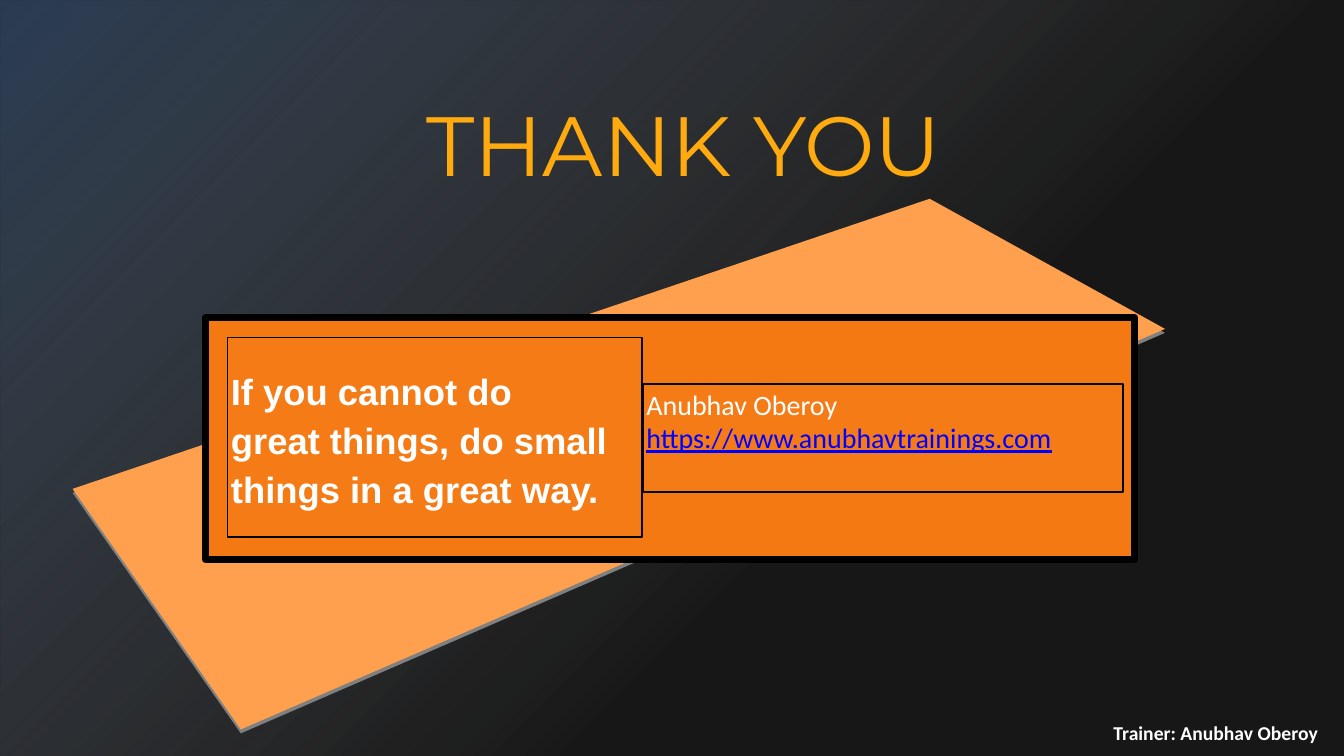
from dataclasses import dataclass

from lxml.etree import SubElement
from pptx import Presentation
from pptx.dml.color import RGBColor
from pptx.enum.shapes import MSO_SHAPE
from pptx.enum.text import MSO_ANCHOR, MSO_AUTO_SIZE, PP_ALIGN
from pptx.oxml.ns import qn
from pptx.shapes.autoshape import Shape
from pptx.shapes.shapetree import SlideShapes
from pptx.text.text import TextFrame
from pptx.util import Cm, Pt


@dataclass(frozen=True)
class Theme:
    paper: str = "F0F0F0"
    black: str = "000000"
    white: str = "FFFFFF"
    glow: str = "558ED5"
    gold: str = "FFAA0F"
    sheet: str = "FFA04F"
    sheet_edge: str = "808080"
    panel: str = "F57913"
    card: str = "F57B17"
    link: str = "0000FF"
    title_size: int = 60
    quote_size: int = 26
    contact_size: int = 20
    footer_size: int = 14


@dataclass(frozen=True)
class Box:
    left: float
    top: float
    width: float
    height: float

    def lengths(self) -> tuple[Cm, Cm, Cm, Cm]:
        return Cm(self.left), Cm(self.top), Cm(self.width), Cm(self.height)


@dataclass(frozen=True)
class Panel:
    box: Box
    fill: str
    line_width: float


@dataclass(frozen=True)
class TextStyle:
    font: str
    size: int
    color: str
    bold: bool = False
    align: PP_ALIGN = PP_ALIGN.LEFT
    line_points: int | None = None


THEME = Theme()
SLIDE = Box(0, 0, 33.87, 19.05)
TITLE = Box(8.76, 2.18, 16.94, 2.82)
FOOTER = Box(27.53, 17.98, 6.22, 0.99)
BANNER = Panel(Box(5.18, 8, 23.42, 6.1), THEME.panel, 5)
CONTACT = Panel(Box(16.21, 9.68, 12.09, 2.72), THEME.card, 1)
QUOTE = Panel(Box(5.74, 8.5, 10.44, 5.03), THEME.card, 1)
SHEET_CORNERS = [(23.43, 5.01), (29.36, 8.29), (6.07, 18.38), (1.83, 12.32)]
SHEET_DEPTH = 0.1


def color(value: str) -> RGBColor:
    return RGBColor.from_string(value)


def set_opacity(shape: Shape, *percents: int) -> None:
    for tint, percent in zip(shape.element.spPr.iter(qn("a:srgbClr")), percents):
        SubElement(tint, qn("a:alpha")).set("val", str(percent * 1000))


def add_overlay(shapes: SlideShapes) -> Shape:
    shape = shapes.add_shape(MSO_SHAPE.RECTANGLE, *SLIDE.lengths())
    shape.shadow.inherit = False
    shape.line.fill.background()
    return shape


def add_sheet(shapes: SlideShapes, fill: str, drop: float) -> None:
    corners = [(Cm(x), Cm(y + drop)) for x, y in SHEET_CORNERS]
    builder = shapes.build_freeform(*corners[0])
    builder.add_line_segments(corners[1:], close=True)
    sheet = builder.convert_to_shape()
    sheet.shadow.inherit = False
    sheet.fill.solid()
    sheet.fill.fore_color.rgb = color(fill)
    sheet.line.fill.background()


def add_panel(shapes: SlideShapes, panel: Panel) -> Shape:
    shape = shapes.add_shape(MSO_SHAPE.RECTANGLE, *panel.box.lengths())
    shape.shadow.inherit = False
    shape.fill.solid()
    shape.fill.fore_color.rgb = color(panel.fill)
    shape.line.color.rgb = color(THEME.black)
    shape.line.width = Pt(panel.line_width)
    return shape


def write(frame: TextFrame, lines: list[str], style: TextStyle,
          anchor: MSO_ANCHOR, inset: tuple[float, float]) -> None:
    frame.word_wrap = True
    frame.auto_size = MSO_AUTO_SIZE.NONE
    frame.vertical_anchor = anchor
    frame.margin_left = frame.margin_right = Cm(inset[0])
    frame.margin_top = frame.margin_bottom = Cm(inset[1])
    frame.text = "\n".join(lines)
    for paragraph in frame.paragraphs:
        paragraph.alignment = style.align
        if style.line_points:
            paragraph.line_spacing = Pt(style.line_points)
        paragraph.font.name = style.font
        paragraph.font.size = Pt(style.size)
        paragraph.font.bold = style.bold
        paragraph.font.color.rgb = color(style.color)


def main() -> None:
    presentation = Presentation()
    presentation.slide_width = Cm(SLIDE.width)
    presentation.slide_height = Cm(SLIDE.height)
    slide = presentation.slides.add_slide(presentation.slide_layouts[5])
    shapes = slide.shapes

    # Dark backdrop with a blue glow in the upper left corner
    slide.background.fill.solid()
    slide.background.fill.fore_color.rgb = color(THEME.paper)
    shade = add_overlay(shapes)
    shade.fill.solid()
    shade.fill.fore_color.rgb = color(THEME.black)
    set_opacity(shade, 90)
    glow = add_overlay(shapes)
    glow.fill.gradient()
    glow.fill.gradient_angle = 315
    stops = zip(glow.fill.gradient_stops, (THEME.glow, THEME.white), (0, 0.63))
    for stop, tint, position in stops:
        stop.color.rgb = color(tint)
        stop.position = position
    set_opacity(glow, 31, 0)

    # Title, in front of the backdrop
    title = shapes.title
    glow.element.addnext(title.element)
    title.left, title.top, title.width, title.height = TITLE.lengths()
    write(title.text_frame, ["THANK YOU"],
          TextStyle("Montserrat", THEME.title_size, THEME.gold, align=PP_ALIGN.CENTER),
          MSO_ANCHOR.MIDDLE, (0.25, 0.13))

    # Tilted sheet with its lower edge
    add_sheet(shapes, THEME.sheet_edge, SHEET_DEPTH)
    add_sheet(shapes, THEME.sheet, 0)

    # Banner with contact and quote cards
    add_panel(shapes, BANNER)
    contact = add_panel(shapes, CONTACT).text_frame
    write(contact, ["Anubhav Oberoy", "https://www.anubhavtrainings.com"],
          TextStyle("Calibri", THEME.contact_size, THEME.white, line_points=24),
          MSO_ANCHOR.TOP, (0.08, 0.08))
    address = contact.paragraphs[1].font
    address.color.rgb = color(THEME.link)
    address.underline = True
    write(add_panel(shapes, QUOTE).text_frame,
          ["If you cannot do", "great things, do small things in a great way."],
          TextStyle("Arial", THEME.quote_size, THEME.white, bold=True, line_points=35),
          MSO_ANCHOR.MIDDLE, (0.08, 0.08))

    # Trainer credit
    footer = shapes.add_textbox(*FOOTER.lengths())
    write(footer.text_frame, ["Trainer: Anubhav Oberoy"],
          TextStyle("Calibri", THEME.footer_size, THEME.white, True, PP_ALIGN.CENTER),
          MSO_ANCHOR.MIDDLE, (0.33, 0.18))

    presentation.save("out.pptx")


if __name__ == "__main__":
    main()
